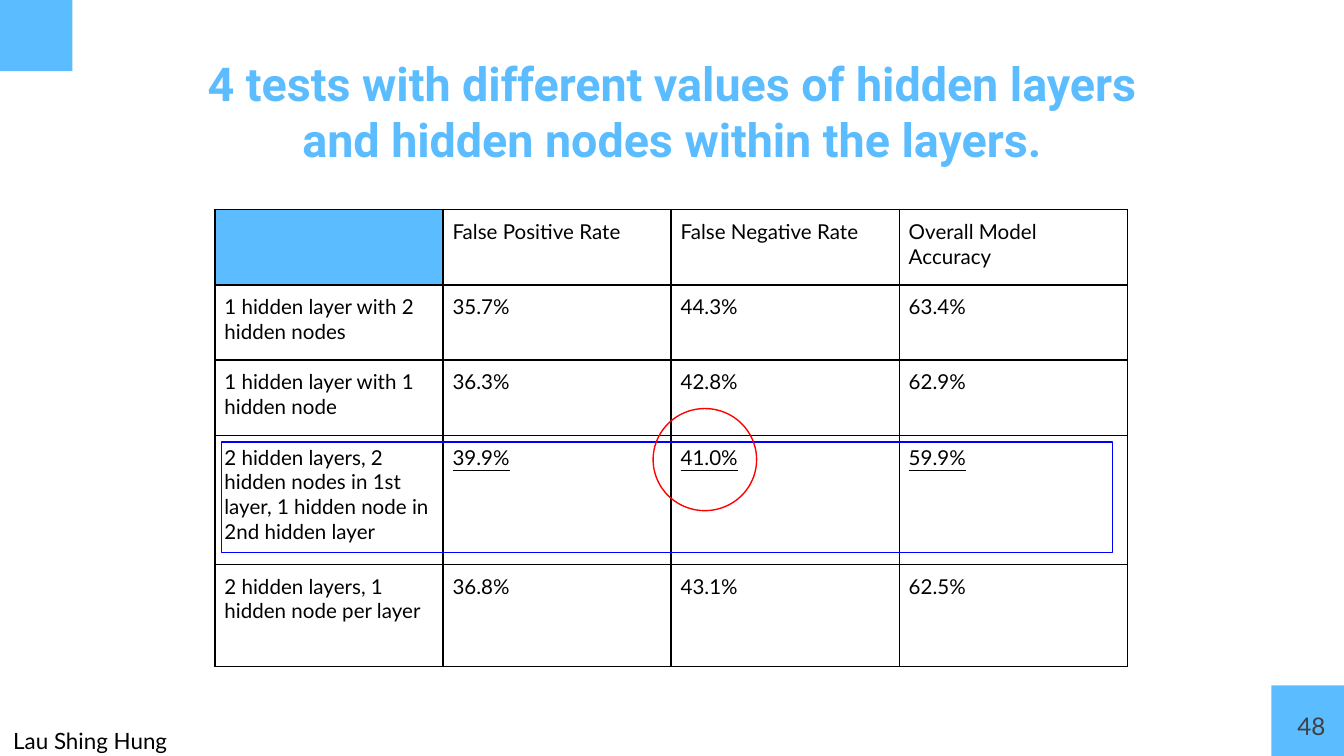
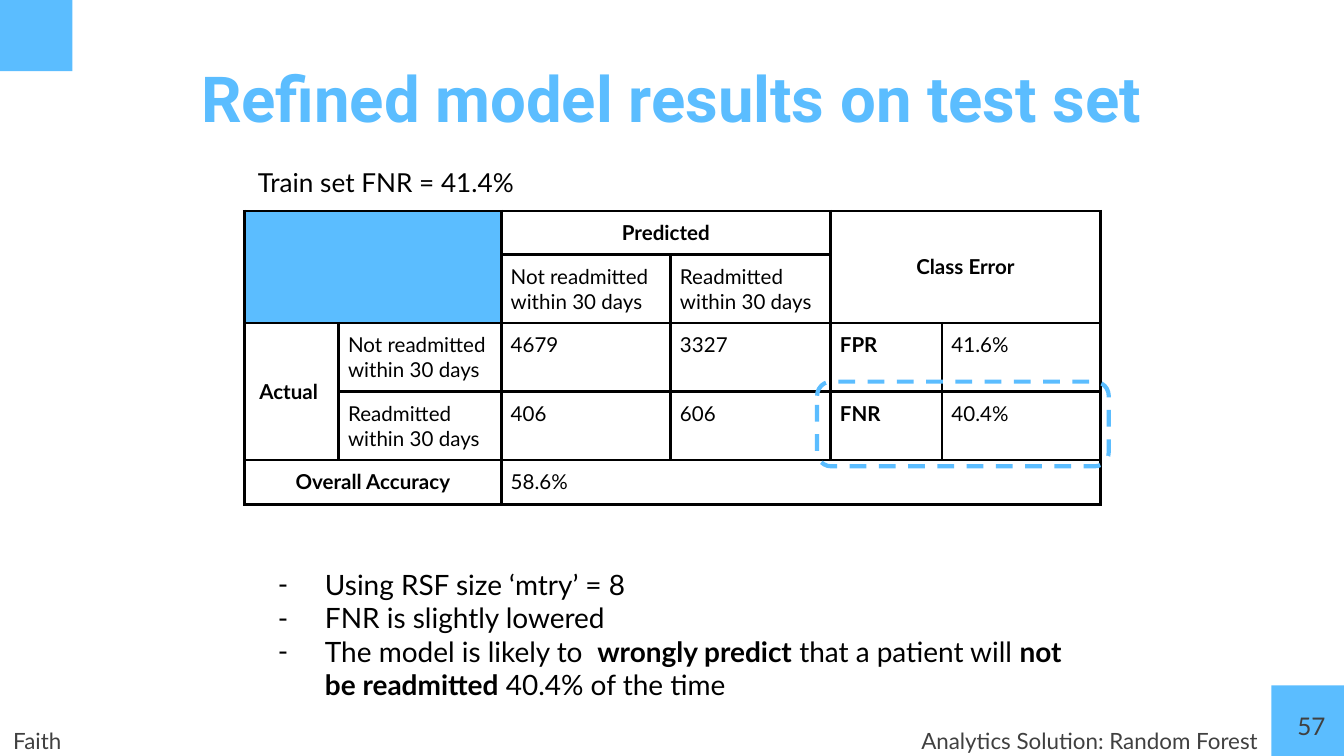
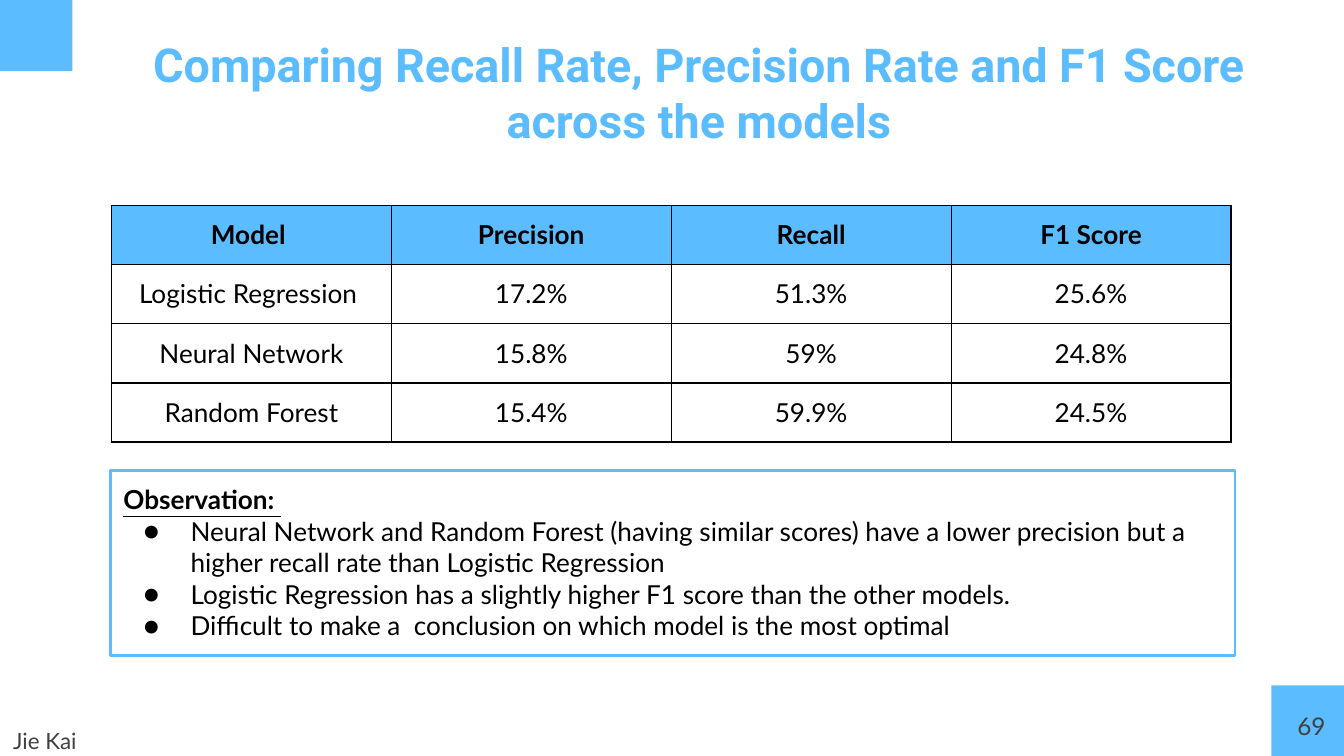
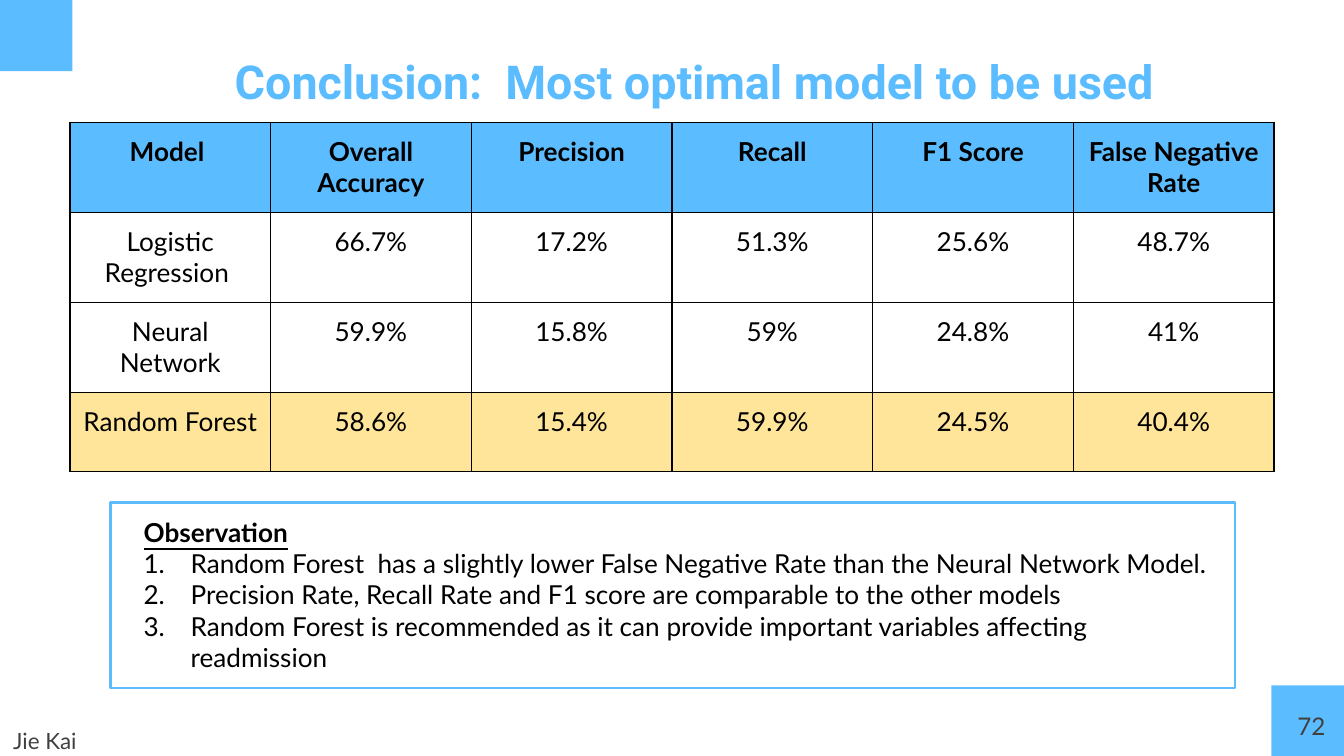
from lxml.etree import SubElement
from pptx import Presentation
from pptx.dml.color import RGBColor
from pptx.enum.dml import MSO_LINE
from pptx.enum.shapes import MSO_SHAPE
from pptx.enum.text import MSO_ANCHOR, PP_ALIGN
from pptx.oxml.ns import qn
from pptx.util import Inches, Pt

SKY = RGBColor(0x5B, 0xBD, 0xFF)
SAND = RGBColor(0xFF, 0xE5, 0x99)
BLACK = RGBColor(0, 0, 0)
GREY = RGBColor(0x40, 0x40, 0x40)
BLUE = RGBColor(0, 0, 0xFF)
RED = RGBColor(0xFF, 0, 0)
LEFT, MID, RIGHT = PP_ALIGN.LEFT, PP_ALIGN.CENTER, PP_ALIGN.RIGHT


def write(frame, lines, size, tint=BLACK, align=LEFT, mark=None, indent=0,
          gap=None, name="Lato", bold=False, under=False):
    """Add paragraphs to a frame; text between asterisks is bold."""
    for line in lines:
        para = frame.paragraphs[-1]
        if para.runs:
            para = frame.add_paragraph()
        para.alignment = align
        if gap:
            para.line_spacing = gap
        props = para._p.get_or_add_pPr()
        if mark:
            props.set("marL", str(Inches(0.5)))
            props.set("indent", str(Inches(-0.35)))
            SubElement(props, qn("a:buSzPts"), val=str(size * 100))
            SubElement(props, qn("a:buFont"), typeface=name)
            if mark == "1.":
                SubElement(props, qn("a:buAutoNum"), type="arabicPeriod")
            else:
                SubElement(props, qn("a:buChar"), char=mark)
        elif indent:
            props.set("marL", str(Inches(indent)))
        if not line:
            SubElement(para._p, qn("a:endParaRPr"), sz=str(size * 100))
            continue
        for i, part in enumerate(line.split("*")):
            if not part:
                continue
            run = para.add_run()
            run.text = part
            look = {"name": name, "size": Pt(size), "underline": under,
                    "bold": bold or i % 2 == 1}
            for key, value in look.items():
                setattr(run.font, key, value)
            run.font.color.rgb = tint


def box(slide, at, kind=None, fill=None, line=None, width=0.75,
        anchor=MSO_ANCHOR.TOP):
    """Add a text box, or a preset shape when a kind is given."""
    place = [Inches(n) for n in at]
    if kind is None:
        shape = slide.shapes.add_textbox(*place)
    else:
        shape = slide.shapes.add_shape(kind, *place)
        shape.shadow.inherit = False
        if fill is None:
            shape.fill.background()
        else:
            shape.fill.solid()
            shape.fill.fore_color.rgb = fill
        if line is None:
            shape.line.fill.background()
        else:
            shape.line.color.rgb = line
            shape.line.width = Pt(width)
    pad = Inches(0.1)
    look = {"word_wrap": True, "vertical_anchor": anchor, "margin_left": pad,
            "margin_right": pad, "margin_top": pad, "margin_bottom": pad}
    for key, value in look.items():
        setattr(shape.text_frame, key, value)
    return shape


# Widescreen, 16 to 9
deck = Presentation()
deck.slide_width, deck.slide_height = Inches(10), Inches(10 * 9 / 16)

# Title, title size, title place, number, author, author colour
pages = [
    ("4 tests with different values of hidden layers and hidden nodes "
     "within the layers.", 25, (1.16, 0.31, 7.68, 1.04),
     "48", "Lau Shing Hung", BLACK),
    ("Refined model results on test set", 34, (0.92, 0.34, 8.15, 0.63),
     "57", "Faith", GREY),
    ("Comparing Recall Rate, Precision Rate and F1 Score across the models",
     25, (0.83, 0.17, 8.74, 0.91), "69", "Jie Kai", GREY),
    ("Conclusion:  Most optimal model to be used", 25,
     (0.65, 0.29, 9.03, 0.63), "72", "Jie Kai", GREY),
]
slides = []
for title, size, at, number, author, tint in pages:
    slide = deck.slides.add_slide(deck.slide_layouts[6])
    slides.append(slide)
    for x, y in [(0, 0), (9.46, 5.1)]:
        box(slide, (x, y, 0.54, 0.53), MSO_SHAPE.RECTANGLE, SKY)
    write(box(slide, at).text_frame, [title], size, SKY, MID,
          name="Roboto", bold=True)
    write(box(slide, (9.36, 5.19, 0.6, 0.43)).text_frame, [number], 13,
          GREY, RIGHT)
    foot = box(slide, (0, 5.37, 2.79, 0.25), anchor=MSO_ANCHOR.MIDDLE)
    write(foot.text_frame, [author], 12, tint, gap=1.15)

# Table contents
tests = [
    ["", "False Positive Rate", "False Negative Rate",
     "Overall Model Accuracy"],
    ["1 hidden layer with 2 hidden nodes", "35.7%", "44.3%", "63.4%"],
    ["1 hidden layer with 1 hidden node", "36.3%", "42.8%", "62.9%"],
    ["2 hidden layers, 2 hidden nodes in 1st layer, 1 hidden node in 2nd "
     "hidden layer", "39.9%", "41.0%", "59.9%"],
    ["2 hidden layers, 1 hidden node per layer", "36.8%", "43.1%", "62.5%"],
]
stay, back = "Not readmitted within 30 days", "Readmitted within 30 days"
matrix = [
    ["", "", "*Predicted*", "", "*Class Error*", ""],
    ["", "", stay, back, "", ""],
    [" *Actual*", stay, "4679", "3327", "*FPR*", "41.6%"],
    ["", back, "406", "606", "*FNR*", "40.4%"],
    ["*Overall Accuracy*", "", "58.6%", "", "", ""],
]
scores = [
    ["*Model *", "*Precision*", "*Recall*", "*F1 Score*"],
    ["Logistic Regression ", "17.2%", "51.3%", "25.6%"],
    ["Neural Network", "15.8%", "59%", "24.8%"],
    ["Random Forest", "15.4%", "59.9%", "24.5%"],
]
# The last table adds accuracy and false negatives to the scores
first = ["*Overall Accuracy*", "66.7%", "59.9%", "58.6%"],
last = ["*False Negative Rate*", "48.7%", "41%", "40.4%"]
final = [[row[0], a, *row[1:], b]
         for row, a, b in zip(scores, first[0], last)]

# Corner, column widths, row heights, text size, padding, border, alignment
grids = [
    (tests, (1.6, 1.56), [6.79 / 4] * 4, [0.56] * 3 + [0.96, 0.76],
     11, 0.07, 1, LEFT),
    (matrix, (1.82, 1.57), [0.7, 1.21, 1.26, 1.19, 0.83, 1.18],
     [0.32, 0.51, 0.51, 0.51, 0.33], 11, 0.07, 1.5, LEFT),
    (scores, (0.83, 1.53), [8.33 / 4] * 4, [0.44] * 4, 14, 0.1, 0.75, MID),
    (final, (0.52, 0.91), [8.96 / 6] * 6, [0.67] * 3 + [0.59],
     14, 0.1, 0.75, MID),
]
centred = {"*Predicted*", "*Class Error*", "*Overall Accuracy*"}
tables = []
for slide, grid in zip(slides, grids):
    data, (x, y), cols, rows, size, pad, edge, align = grid
    table = slide.shapes.add_table(
        len(rows), len(cols), Inches(x), Inches(y),
        Inches(sum(cols)), Inches(sum(rows))).table
    tables.append(table)
    table.first_row = table.horz_banding = False
    for col, width in zip(table.columns, cols):
        col.width = Inches(width)
    for row, height in zip(table.rows, rows):
        row.height = Inches(height)
    for r, words in enumerate(data):
        for c, text in enumerate(words):
            cell = table.cell(r, c)
            for side in ("left", "right", "top", "bottom"):
                setattr(cell, "margin_" + side, Inches(pad))
            # Borders
            props = cell._tc.get_or_add_tcPr()
            for tag in ("a:lnL", "a:lnR", "a:lnT", "a:lnB"):
                rule = SubElement(props, qn(tag), w=str(Pt(edge)))
                solid = SubElement(rule, qn("a:solidFill"))
                SubElement(solid, qn("a:srgbClr"), val=str(BLACK))
            # Fill: blue header or corner, sand for the chosen model
            if r == 0 and (align == MID or c == 0):
                tint = SKY
            elif data is final and r == 3:
                tint = SAND
            else:
                tint = None
            if tint is None:
                cell.fill.background()
            else:
                cell.fill.solid()
                cell.fill.fore_color.rgb = tint
            write(cell.text_frame, [text], size,
                  align=MID if text in centred else align,
                  under=data is tests and r == 3 and c > 0)

# Merged cells of the confusion matrix
table = tables[1]
for top, left, low, right in [(0, 0, 1, 1), (0, 2, 0, 3), (0, 4, 1, 5),
                              (2, 0, 3, 0), (4, 0, 4, 1), (4, 2, 4, 5)]:
    table.cell(top, left).merge(table.cell(low, right))
for r, c in [(0, 4), (2, 0)]:
    table.cell(r, c).vertical_anchor = MSO_ANCHOR.MIDDLE

# Slide 1: marks on the chosen test
box(slides[0], (1.65, 3.29, 6.63, 0.82), MSO_SHAPE.RECTANGLE, line=BLUE)
box(slides[0], (4.86, 3.04, 0.77, 0.76), MSO_SHAPE.OVAL, line=RED)

# Slide 2: notes, section name and dashed frame
notes = box(slides[1], (1.82, 4.12, 6.36, 1.21))
write(notes.text_frame, [
    "Using RSF size ‘mtry’ = 8",
    "FNR is slightly lowered",
    "The model is likely to  *wrongly predict* that a patient will "
    "*not be readmitted* 40.4% of the time"], 15, mark="-")
train = box(slides[1], (1.82, 1.14, 4.8, 0.44))
write(train.text_frame, ["Train set FNR = 41.4%"], 14)
part = box(slides[1], (6.08, 5.37, 3.38, 0.25), anchor=MSO_ANCHOR.MIDDLE)
write(part.text_frame, ["Analytics Solution: Random Forest"], 12, GREY,
      RIGHT, gap=1.15)
frame = box(slides[1], (6.08, 2.84, 2.17, 0.63),
            MSO_SHAPE.ROUNDED_RECTANGLE, line=SKY, width=2.25)
frame.line.dash_style = MSO_LINE.DASH

# Slides 3 and 4: observations
views = [
    (slides[2], 3.5, "Observation: ", 0, "●", [
        "Neural Network and Random Forest (having similar scores) have a "
        "lower precision but a higher recall rate than Logistic Regression",
        "Logistic Regression has a slightly higher F1 score than the other "
        "models.",
        "Difficult to make a  conclusion on which model is the most "
        "optimal"]),
    (slides[3], 3.74, "Observation", 0.15, "1.", [
        "Random Forest  has a slightly lower False Negative Rate than the "
        "Neural Network Model.",
        "Precision Rate, Recall Rate and F1 score are comparable to the "
        "other models",
        "Random Forest is recommended as it can provide important variables "
        "affecting readmission"]),
]
for slide, y, head, indent, mark, points in views:
    panel = box(slide, (0.82, y, 8.37, 1.38), MSO_SHAPE.RECTANGLE,
                line=SKY, width=1.5)
    write(panel.text_frame, [head], 14, indent=indent, bold=True, under=True)
    write(panel.text_frame, points, 14, mark=mark)

deck.save("out.pptx")
